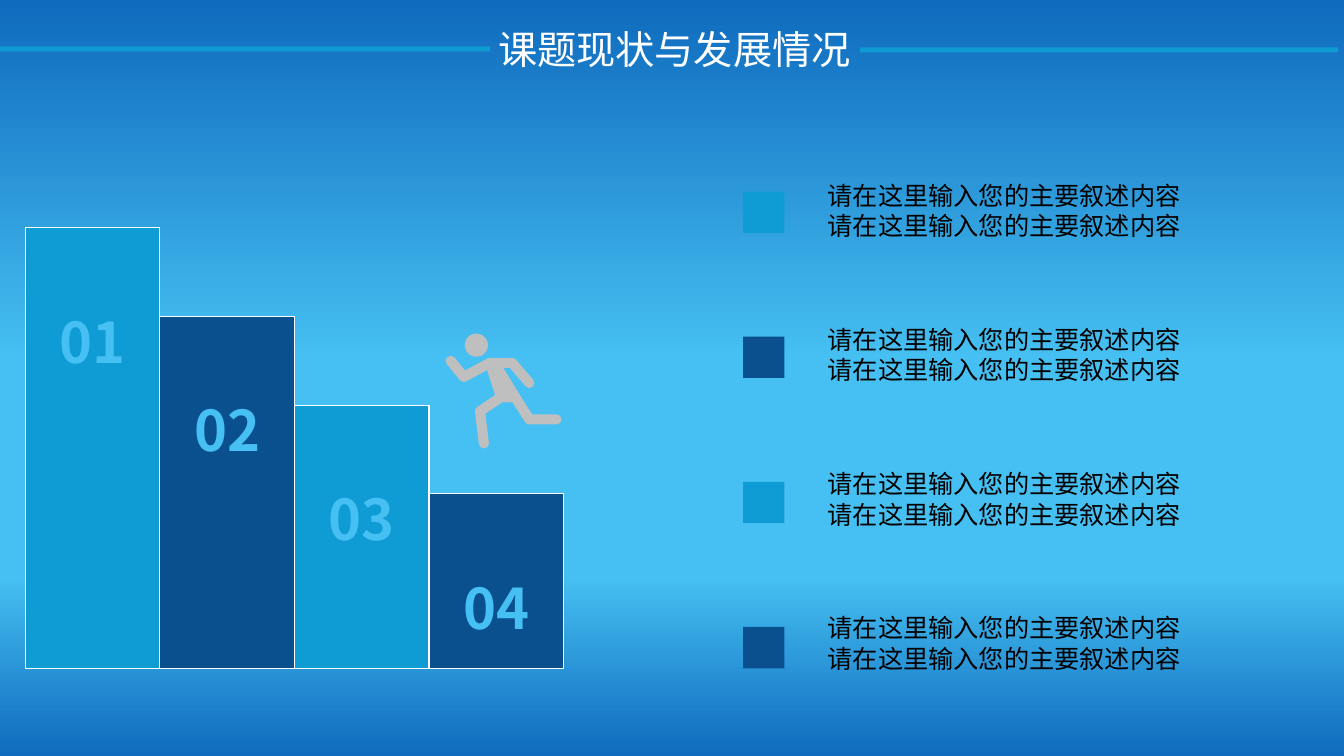
from copy import deepcopy
from lxml.etree import SubElement
from pptx import Presentation
from pptx.dml.color import RGBColor
from pptx.enum.shapes import MSO_SHAPE as Kind
from pptx.enum.text import MSO_ANCHOR as Anchor, PP_ALIGN as Align
from pptx.oxml.ns import qn
from pptx.util import Cm, Pt

INCH = 2.54
SKY, NAVY, GREY, WHITE, BLACK = "0F9BD4", "0B508E", "BFBFBF", "FFFFFF", "000000"
DEEP, LIGHT = "0F6BBE", "46C0F2"
BLUES = [SKY, NAVY, SKY, NAVY]
FONT = "Noto Sans CJK SC"
TITLE = "课题现状与发展情况"
BODY = ["请在这里输入您的主要叙述内容"] * 2

STEP_LEFT, STEP_WIDTH = 0.25, 1.335
STEP_TOP, STEP_DROP, STEP_BASE = 2.26, 0.88, 6.63
ITEM_TOP, ITEM_GAP = 1.74, 1.43

NECK, CHEST = (4.86, 3.6), (5.08, 3.6)
WAIST, HIP = (4.97, 3.94), (5.11, 3.94)
LIMBS = {
    "front arm": [NECK, (4.6, 3.74), (4.47, 3.58)],
    "back arm": [CHEST, (5.25, 3.8)],
    "front leg": [HIP, WAIST, (4.76, 4.08), (4.8, 4.4)],
    "back leg": [HIP, (5.25, 4.16), (5.52, 4.16)],
    "shoulders": [NECK, CHEST],
}
TORSO = [NECK, (4.94, 3.66), HIP, WAIST]
HEAD = (4.61, 3.31, 0.23, 0.23)
LIMB_WIDTH = 0.1


def tint(code):
    return RGBColor.from_string(code)


def span(*sizes):
    return [Cm(size * INCH) for size in sizes]


def write(frame, lines, size=18, color=BLACK, bold=False, align=Align.LEFT,
          anchor=Anchor.TOP, pitch=1.2):
    frame.word_wrap = True
    frame.vertical_anchor = anchor
    for i, line in enumerate(lines):
        para = frame.add_paragraph() if i else frame.paragraphs[0]
        para.alignment = align
        para.line_spacing = Pt(size * pitch)
        run = para.add_run()
        run.text = line
        run.font.size = Pt(size)
        run.font.bold = bold
        run.font.name = FONT
        run.font.color.rgb = tint(color)
        SubElement(run.font._element, qn("a:ea"), typeface=FONT)


class Page:
    def __init__(self, deck):
        self.slide = deck.slides.add_slide(deck.slide_layouts[5])
        self.shapes = self.slide.shapes

    def ground(self, stops):
        fill = self.slide.background.fill
        fill.gradient()
        fill.gradient_angle = 270
        stock = fill.gradient_stops._gsLst
        for _ in range(len(stops) - len(stock)):
            stock.append(deepcopy(stock[0]))
        for stop, (place, code) in zip(fill.gradient_stops, stops):
            stop.color.rgb = tint(code)
            stop.position = place

    def edge(self, shape, color, width):
        shape.line.color.rgb = tint(color)
        shape.line.width = width

    def block(self, box, fill, kind=Kind.RECTANGLE):
        shape = self.shapes.add_shape(kind, *span(*box))
        shape.shadow.inherit = False
        shape.fill.solid()
        shape.fill.fore_color.rgb = tint(fill)
        shape.line.fill.background()
        return shape

    def step(self, box, fill, label):
        bar = self.block(box, fill)
        self.edge(bar, WHITE, Pt(0.75))
        bar.text_frame.margin_top = Cm(2)
        write(bar.text_frame, [label], size=40, color=LIGHT, bold=True,
              align=Align.CENTER)

    def stroke(self, joints, color, width, solid=False):
        first, *rest = [span(*joint) for joint in joints]
        pen = self.shapes.build_freeform(*first)
        pen.add_line_segments(rest, close=solid)
        shape = pen.convert_to_shape()
        shape.shadow.inherit = False
        if solid:
            shape.fill.solid()
            shape.fill.fore_color.rgb = tint(color)
        else:
            shape.fill.background()
        self.edge(shape, color, Cm(width * INCH))
        line = shape.line._get_or_add_ln()
        line.set("cap", "rnd")
        SubElement(line, qn("a:round"))
        return shape

    def runner(self):
        parts = [self.stroke(limb, GREY, LIMB_WIDTH) for limb in LIMBS.values()]
        parts.append(self.stroke(TORSO, GREY, LIMB_WIDTH, solid=True))
        parts.append(self.block(HEAD, GREY, Kind.OVAL))
        self.shapes.add_group_shape(parts)

    def title(self, text, box):
        head = self.shapes.title
        head.left, head.top, head.width, head.height = span(*box)
        write(head.text_frame, [text], size=28, color=WHITE, anchor=Anchor.MIDDLE)

    def text(self, lines, box):
        write(self.shapes.add_textbox(*span(*box)).text_frame, lines)


def main():
    deck = Presentation()
    deck.slide_width, deck.slide_height = span(13.33, 7.5)
    page = Page(deck)
    page.ground([(0, DEEP), (0.48, LIGHT), (0.76, LIGHT), (1, DEEP)])

    page.block((0, 0.46, 4.86, 0.05), SKY)
    page.title(TITLE, (4.84, 0.2, 3.84, 0.57))
    page.block((8.53, 0.47, 4.74, 0.05), SKY)

    for i, blue in enumerate(BLUES):
        left, top = STEP_LEFT + STEP_WIDTH * i, STEP_TOP + STEP_DROP * i
        page.step((left, top, STEP_WIDTH, STEP_BASE - top), blue, f"{i + 1:02}")

        row = ITEM_TOP + ITEM_GAP * i
        page.block((7.37, 1.9 + 1.44 * i, 0.41, 0.41), blue)
        page.text(BODY, (8.11, row, 4.15, 1.12))

    page.runner()
    deck.save("out.pptx")


if __name__ == "__main__":
    main()
